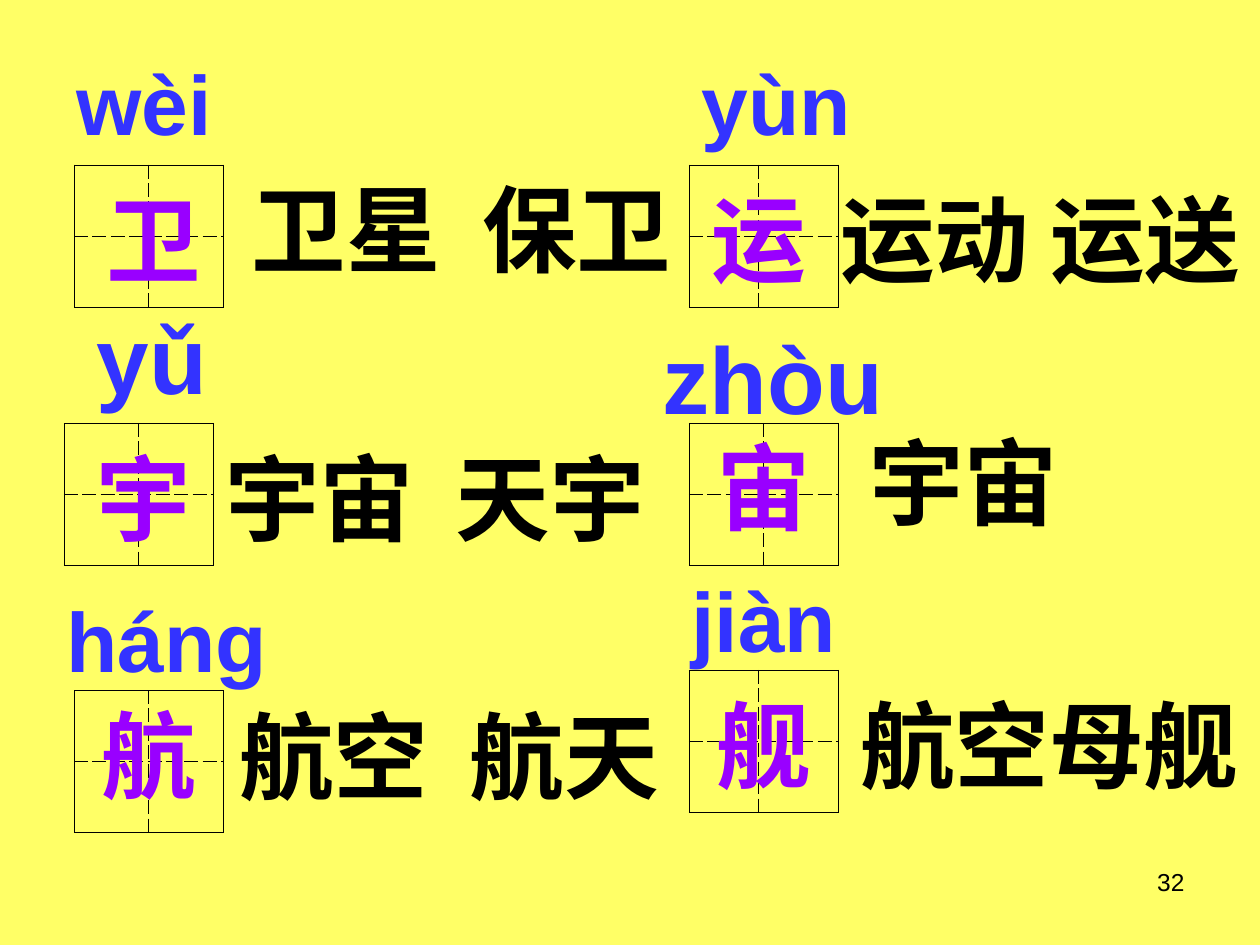
"""Build a character practice slide: six writing grids with pinyin and example words."""
from dataclasses import dataclass

from lxml.etree import SubElement
from pptx import Presentation
from pptx.dml.color import RGBColor
from pptx.enum.text import MSO_AUTO_SIZE, PP_ALIGN
from pptx.oxml.ns import qn
from pptx.util import Inches, Pt


@dataclass(frozen=True)
class Theme:
    background: str = "FFFF66"
    glyph: str = "9900FF"
    pinyin: str = "3333FF"
    ink: str = "000000"
    latin: str = "Arial"
    chinese: str = "Noto Sans CJK SC"
    large: int = 54
    medium: int = 48
    small: int = 14
    solid: float = 0.45
    dashed: float = 0.34


THEME = Theme()
COLUMNS = (0.59, 5.47)
ROWS = (1.31, 3.36, 5.48)
GRID_WIDTH, GRID_HEIGHT = 1.18, 1.13
WORD_TAB = 1.83
LINE_HEIGHT = {THEME.large: 1.0, THEME.medium: 0.9, THEME.small: 0.52}

# Each part is (text, offset right, offset down, width), measured from its writing grid.
CARDS = [
    {"cell": (0, 0), "nudge": (0, 0), "split": 0.59, "size": THEME.medium,
     "glyph": ("卫", 0, 0.08, 1.26), "pinyin": ("wèi", -0.08, -0.95, 1.65),
     "words": ("卫星\t保卫", 1.31, 0, 3.6)},
    {"cell": (1, 0), "nudge": (0, 0), "split": 0.55, "size": THEME.medium,
     "glyph": ("运", 0.08, 0.08, 0.94), "pinyin": ("yùn", 0, -0.95, 1.73),
     "words": ("运动 运送", 1.1, 0.08, 4.33)},
    {"cell": (0, 1), "nudge": (-0.08, 0), "split": 0.59, "size": THEME.large,
     "glyph": ("宇", 0, 0.08, 1.26), "pinyin": ("yǔ", 0.16, -1.03, 1.1),
     "words": ("宇宙\t天宇", 1.18, 0.08, 3.94)},
    {"cell": (1, 1), "nudge": (0, 0), "split": 0.59, "size": THEME.large,
     "glyph": ("宙", 0, 0, 1.18), "pinyin": ("zhòu", -0.31, -0.87, 1.97),
     "words": ("宇宙", 1.33, -0.04, 1.75)},
    {"cell": (0, 2), "nudge": (0, 0), "split": 0.59, "size": THEME.medium,
     "glyph": ("航", 0, 0, 1.18), "pinyin": ("háng", -0.16, -0.86, 1.81),
     "words": ("航空\t航天", 1.21, 0.01, 3.6)},
    {"cell": (1, 2), "nudge": (0, -0.16), "split": 0.55, "size": THEME.medium,
     "glyph": ("舰", 0, 0.08, 1.18), "pinyin": ("jiàn", -0.08, -0.86, 1.73),
     "words": ("航空母舰", 1.26, 0.08, 3.62)},
]
PAGE_NUMBER = ("32", 7.17, 6.83, 2.33)


def set_attributes(target, values):
    for name, value in values.items():
        setattr(target, name, value)


def grid_origin(card):
    column, row = card["cell"]
    right, down = card["nudge"]
    return COLUMNS[column] + right, ROWS[row] + down


def add_border(cell, side, outer):
    width = THEME.solid if outer else THEME.dashed
    line = SubElement(cell._tc.get_or_add_tcPr(), qn(f"a:ln{side}"), w=str(int(Pt(width))))
    fill = SubElement(line, qn("a:solidFill"))
    SubElement(fill, qn("a:srgbClr"), val=THEME.ink)
    SubElement(line, qn("a:prstDash"), val="solid" if outer else "dash")


def add_writing_grid(page, card):
    left, top = grid_origin(card)
    frame = page.shapes.add_table(2, 2, Inches(left), Inches(top),
                                  Inches(GRID_WIDTH), Inches(GRID_HEIGHT))
    table = frame.table
    set_attributes(table, {"first_row": False, "horz_banding": False})
    table.columns[0].width = Inches(card["split"])
    table.columns[1].width = Inches(GRID_WIDTH - card["split"])
    for row in range(2):
        for column in range(2):
            cell = table.cell(row, column)
            outer_sides = {"L": column == 0, "R": column == 1, "T": row == 0, "B": row == 1}
            for side, outer in outer_sides.items():
                add_border(cell, side, outer)
            cell.fill.background()


def add_text(page, part, size, color, font, origin=(0, 0), bold=True,
             align=PP_ALIGN.LEFT, fit=MSO_AUTO_SIZE.SHAPE_TO_FIT_TEXT):
    text, right, down, width = part
    box = page.shapes.add_textbox(Inches(origin[0] + right), Inches(origin[1] + down),
                                  Inches(width), Inches(LINE_HEIGHT[size]))
    set_attributes(box.text_frame, {"word_wrap": True, "auto_size": fit})
    para = box.text_frame.paragraphs[0]
    para.alignment = align
    if "\t" in text:
        tabs = SubElement(para._p.get_or_add_pPr(), qn("a:tabLst"))
        SubElement(tabs, qn("a:tab"), pos=str(Inches(WORD_TAB)), algn="l")
    span = para.add_run()
    span.text = text
    set_attributes(span.font, {"size": Pt(size), "bold": bold, "name": font})
    span.font.color.rgb = RGBColor.from_string(color)
    SubElement(span._r.get_or_add_rPr(), qn("a:ea"), typeface=THEME.chinese)


def main():
    deck = Presentation()
    set_attributes(deck, {"slide_width": Inches(10), "slide_height": Inches(7.5)})
    page = deck.slides.add_slide(deck.slide_layouts[6])
    page.background.fill.solid()
    page.background.fill.fore_color.rgb = RGBColor.from_string(THEME.background)

    for card in CARDS:
        add_writing_grid(page, card)
    for card in CARDS:
        origin = grid_origin(card)
        add_text(page, card["glyph"], THEME.large, THEME.glyph, THEME.chinese, origin,
                 align=PP_ALIGN.CENTER)
        add_text(page, card["pinyin"], card["size"], THEME.pinyin, THEME.latin, origin)
        add_text(page, card["words"], THEME.large, THEME.ink, THEME.latin, origin)
    add_text(page, PAGE_NUMBER, THEME.small, THEME.ink, THEME.latin, bold=False,
             align=PP_ALIGN.RIGHT, fit=MSO_AUTO_SIZE.NONE)
    deck.save("out.pptx")


if __name__ == "__main__":
    main()
